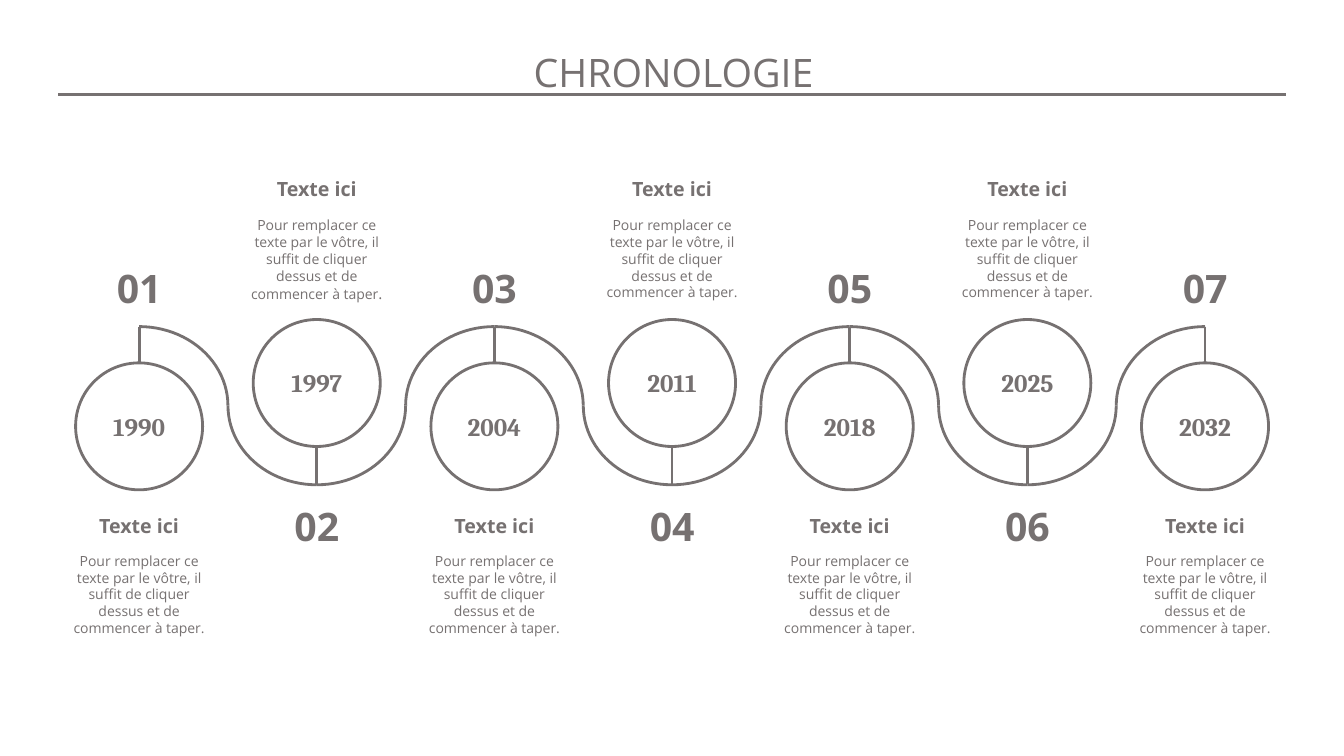
import pptx
import pptx.dml.color
import pptx.enum.shapes
import pptx.enum.text
import pptx.oxml
import pptx.util
from dataclasses import dataclass
from pptx.util import Inches


@dataclass(frozen=True)
class Theme:
    ink: pptx.dml.color.RGBColor = pptx.dml.color.RGBColor(0x76, 0x71, 0x71)
    paper: pptx.dml.color.RGBColor = pptx.dml.color.RGBColor(0xFF, 0xFF, 0xFF)
    sans: str = "Open Sans"
    serif: str = "Cambria"
    title: int = 28
    year: int = 18
    heading: int = 14
    body: int = 10
    stop: int = 11
    line: int = 2


theme = Theme()
MSO_SHAPE = pptx.enum.shapes.MSO_SHAPE

prs = pptx.Presentation()
prs.slide_width, prs.slide_height = Inches(13.33), Inches(7.5)
s = prs.slides.add_slide(prs.slide_layouts[6])


def add_text(text, center, top, width, height, size, font=theme.sans, bold=False, stop_size=None):
    """Add a centred text box; stop_size sets the size of the last character."""
    box = s.shapes.add_textbox(Inches(center - width / 2), Inches(top), Inches(width), Inches(height))
    tf = box.text_frame
    tf.word_wrap = True
    tf.auto_size = pptx.enum.text.MSO_AUTO_SIZE.SHAPE_TO_FIT_TEXT
    p = tf.paragraphs[0]
    p.alignment = pptx.enum.text.PP_ALIGN.CENTER
    pieces = [(text[:-1], size), (text[-1], stop_size)] if stop_size else [(text, size)]
    for piece, points in pieces:
        r = p.add_run()
        r.text = piece
        r.font.size = pptx.util.Pt(points)
        r.font.name = font
        r.font.bold = bold
        r.font.color.rgb = theme.ink


def add_line(x1, y1, x2, y2):
    line = s.shapes.add_connector(pptx.enum.shapes.MSO_CONNECTOR.STRAIGHT,
                                  Inches(x1), Inches(y1), Inches(x2), Inches(y2))
    line.line.color.rgb = theme.ink
    line.line.width = pptx.util.Pt(theme.line)
    pptx.oxml.ns  # namespace helpers
    line._element.spPr.append(pptx.oxml.parse_xml(
        '<a:effectLst xmlns:a="http://schemas.openxmlformats.org/drawingml/2006/main"/>'))


years = ["1990", "1997", "2004", "2011", "2018", "2025", "2032"]
body = "Pour remplacer ce texte par le vôtre, il suffit de cliquer dessus et de commencer à taper."
first_center, step = 1.38, 1.762
wave_top, wave_height, circle = 3.24, 1.57, 1.26
low = dict(stem=(3.24, 3.6), circle=3.6, number=2.57, year=4.03, heading=5.05, body=5.43)
high = dict(stem=(4.42, 4.8), circle=3.17, number=4.93, year=3.59, heading=1.71, body=2.1)

add_text("CHRONOLOGIE", 6.68, 0.43, 13.36, 0.57, theme.title)
add_line(0.58, 0.94, 12.75, 0.94)

for i, year in enumerate(years):
    center = first_center + i * step
    raised = i % 2 == 1
    tops = high if raised else low

    # Quarter arcs: the wave starts at the first date and stops at the last
    for left_half in (True, False):
        if (left_half and i == 0) or (not left_half and i == len(years) - 1):
            continue
        sp = s.shapes.add_shape(MSO_SHAPE.ARC, Inches(center - step / 2), Inches(wave_top),
                                Inches(step), Inches(wave_height))
        sp.shadow.inherit = False
        sp.fill.background()
        sp.line.color.rgb = theme.ink
        sp.line.width = pptx.util.Pt(theme.line)
        xfrm = sp._element.spPr.xfrm
        if left_half:
            xfrm.set("flipH", "1")
        if raised:
            xfrm.set("flipV", "1")

    add_line(center, tops["stem"][0], center, tops["stem"][1])

    sp = s.shapes.add_shape(MSO_SHAPE.OVAL, Inches(center - circle / 2), Inches(tops["circle"]),
                            Inches(circle), Inches(circle))
    sp.shadow.inherit = False
    sp.fill.solid()
    sp.fill.fore_color.rgb = theme.paper
    sp.line.color.rgb = theme.ink
    sp.line.width = pptx.util.Pt(theme.line)

    add_text(f"{i + 1:02}", center, tops["number"], 1.05, 0.57, theme.title, bold=True)
    add_text(year, center, tops["year"], circle, 0.4, theme.year, font=theme.serif, bold=True)
    add_text("Texte ici", center, tops["heading"], 1.67, 0.33, theme.heading, bold=True)
    add_text(body, center, tops["body"], 1.67, 0.93, theme.body,
             stop_size=theme.stop if year == "1997" else None)

prs.save("out.pptx")
